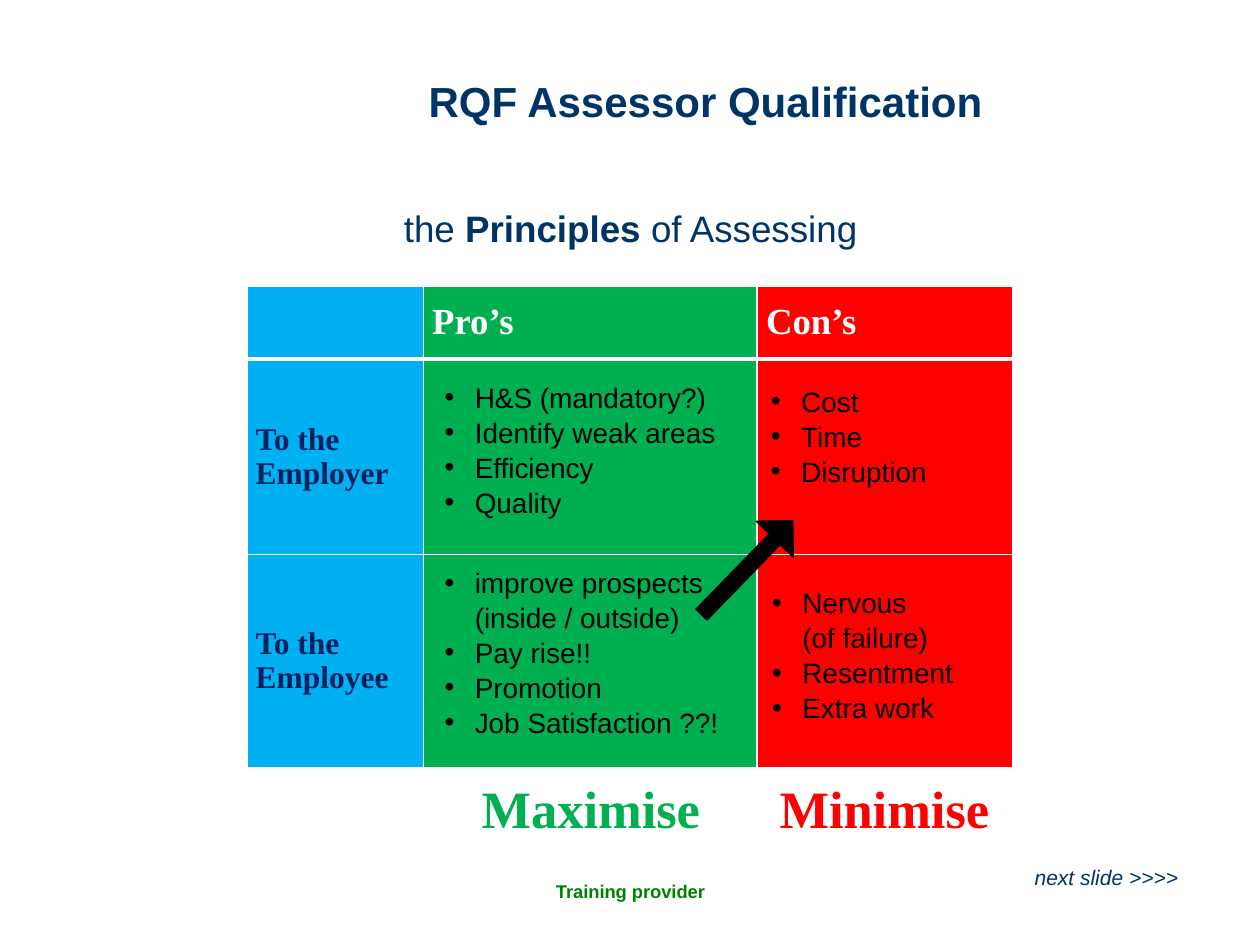
from dataclasses import dataclass
from typing import Any

from lxml.etree import SubElement
from pptx import Presentation
from pptx.dml.color import RGBColor
from pptx.enum.shapes import MSO_SHAPE as Preset
from pptx.enum.text import MSO_ANCHOR as Anchor, PP_ALIGN as Align
from pptx.oxml.ns import qn
from pptx.util import Inches, Pt


@dataclass(frozen=True)
class Theme:
    navy: str = "003366"
    label: str = "002060"
    green: str = "00B050"
    red: str = "FF0000"
    blue: str = "00B0F0"
    footer: str = "008000"
    black: str = "000000"
    white: str = "FFFFFF"
    sans: str = "Arial"
    serif: str = "Times New Roman"
    title: float = 24
    heading: float = 21
    row_label: float = 18
    body: float = 16
    verdict: float = 30
    small: float = 12
    footnote: float = 10.5


THEME = Theme()


@dataclass(frozen=True)
class Style:
    size: float
    color: str
    name: str = THEME.sans
    bold: bool = False
    italic: bool = False


@dataclass(frozen=True)
class TextBox:
    box: tuple[float, float, float, float]
    runs: tuple[tuple[str, Style], ...]
    align: Align = Align.CENTER
    anchor: Anchor = Anchor.TOP
    wrap: bool = True
    spacing: float = 1.0


@dataclass(frozen=True)
class BulletList:
    box: tuple[float, float, float, float]
    items: tuple[str, ...]


HEADING = Style(THEME.heading, THEME.white, THEME.serif, bold=True)
ROW_LABEL = Style(THEME.row_label, THEME.label, THEME.serif, bold=True)
SUBTITLE = Style(THEME.heading, THEME.navy)
SUBTITLE_BOLD = Style(THEME.heading, THEME.navy, bold=True)
BODY = Style(THEME.body, THEME.black)

# Slide content
TEXT_BOXES = (
    TextBox((3.13, 0.35, 4.94, 0.89),
            (("RQF Assessor Qualification", Style(THEME.title, THEME.navy, bold=True)),),
            anchor=Anchor.MIDDLE),
    TextBox((2.67, 1.36, 4.67, 0.89),
            (("the ", SUBTITLE), ("Principles ", SUBTITLE_BOLD), ("of Assessing", SUBTITLE)),
            anchor=Anchor.MIDDLE),
    TextBox((3.35, 6.11, 2.68, 0.58),
            (("Maximise", Style(THEME.verdict, THEME.green, THEME.serif, bold=True)),)),
    TextBox((6.02, 6.11, 2, 0.61),
            (("Minimise", Style(THEME.verdict, THEME.red, THEME.serif, bold=True)),)),
    TextBox((8.1, 6.71, 1.35, 0.37),
            (("next slide >>>>", Style(THEME.small, THEME.navy, italic=True)),),
            align=Align.RIGHT, wrap=False, spacing=1.5),
    TextBox((3.42, 6.94, 3.17, 0.4),
            (("Training provider", Style(THEME.footnote, THEME.footer, bold=True)),)),
)
BULLET_LISTS = (
    BulletList((3.43, 2.96, 2.44, 1.45),
               ("H&S (mandatory?)", "Identify weak areas", "Efficiency", "Quality")),
    BulletList((6.02, 2.99, 1.84, 1.18), ("Cost", "Time", "Disruption")),
    BulletList((3.43, 4.43, 2.44, 1.72),
               ("improve prospects\n(inside / outside)", "Pay rise!!", "Promotion",
                "Job Satisfaction ??!")),
    BulletList((6.03, 4.59, 1.84, 1.18),
               ("Nervous\n(of failure)", "Resentment", "Extra work")),
)
COLUMNS = ((1.4, THEME.blue), (2.65, THEME.green), (2.03, THEME.red))
ROWS = (
    (0.58, ("", "Pro’s", "Con’s")),
    (1.55, ("To the Employer", "", "")),
    (1.69, ("To the Employee", "", "")),
)


def apply_style(font: Any, style: Style) -> None:
    values = {"size": Pt(style.size), "name": style.name,
              "bold": style.bold, "italic": style.italic}
    for attribute, value in values.items():
        setattr(font, attribute, value)
    font.color.rgb = RGBColor.from_string(style.color)


def add_frame(slide: Any, box: tuple, wrap: bool = True, anchor: Anchor = Anchor.TOP) -> Any:
    frame = slide.shapes.add_textbox(*map(Inches, box)).text_frame
    frame.word_wrap = wrap
    frame.vertical_anchor = anchor
    return frame


def draw_text(slide: Any, item: TextBox) -> None:
    paragraph = add_frame(slide, item.box, item.wrap, item.anchor).paragraphs[0]
    paragraph.alignment = item.align
    paragraph.line_spacing = item.spacing
    for text, style in item.runs:
        run = paragraph.add_run()
        run.text = text
        apply_style(run.font, style)


def draw_bullets(slide: Any, bullet_list: BulletList) -> None:
    frame = add_frame(slide, bullet_list.box)
    for index, item in enumerate(bullet_list.items):
        paragraph = frame.add_paragraph() if index else frame.paragraphs[0]
        paragraph.text = item
        paragraph.line_spacing = 1.04
        properties = paragraph._p.get_or_add_pPr()
        properties.set("marL", str(Inches(0.24)))
        properties.set("indent", str(-Inches(0.24)))
        SubElement(properties, qn("a:buFont"), typeface=THEME.sans)
        SubElement(properties, qn("a:buChar"), char="•")
        for run in paragraph.runs:
            apply_style(run.font, BODY)
        for line_break in paragraph._p.findall(qn("a:br")):
            SubElement(line_break, qn("a:rPr"), sz=str(Pt(BODY.size).centipoints))


def set_border(cell: Any, side: str, width: float) -> None:
    line = SubElement(cell._tc.get_or_add_tcPr(), qn(f"a:ln{side}"), w=str(Pt(width)))
    fill = SubElement(line, qn("a:solidFill"))
    SubElement(fill, qn("a:srgbClr"), val=THEME.white)


def fill_half_transparent(cell: Any, color: str) -> None:
    cell.fill.solid()
    cell.fill.fore_color.rgb = RGBColor.from_string(color)
    SubElement(cell._tc.tcPr.find(".//" + qn("a:srgbClr")), qn("a:alpha"), val="50000")


def draw_table(slide: Any) -> None:
    width = sum(column[0] for column in COLUMNS)
    height = sum(row[0] for row in ROWS)
    table = slide.shapes.add_table(len(ROWS), len(COLUMNS), Inches(1.96), Inches(2.27),
                                   Inches(width), Inches(height)).table
    for column, (column_width, _) in zip(table.columns, COLUMNS):
        column.width = Inches(column_width)
    margins = {"margin_left": 0.07, "margin_right": 0.07,
               "margin_top": 0.04, "margin_bottom": 0.04}
    for row_index, (row_height, texts) in enumerate(ROWS):
        table.rows[row_index].height = Inches(row_height)
        # The header row is closed by a thick rule
        borders = {"L": 1, "R": 1, "T": 3 if row_index == 1 else 1,
                   "B": 3 if row_index == 0 else 1}
        for column_index, text in enumerate(texts):
            cell = table.cell(row_index, column_index)
            cell.vertical_anchor = Anchor.MIDDLE
            for attribute, value in margins.items():
                setattr(cell, attribute, Inches(value))
            for side, line_width in borders.items():
                set_border(cell, side, line_width)
            fill_half_transparent(cell, COLUMNS[column_index][1])
            if text:
                cell.text = text
                apply_style(cell.text_frame.paragraphs[0].runs[0].font,
                            ROW_LABEL if row_index else HEADING)


def draw_arrow(slide: Any) -> None:
    arrow = slide.shapes.add_shape(Preset.RIGHT_ARROW, Inches(5.41), Inches(4.3),
                                   Inches(1.04), Inches(0.41))
    arrow.rotation = 314.2
    arrow.adjustments[0] = 0.3
    arrow.shadow.inherit = False
    arrow.fill.solid()
    for color in (arrow.fill.fore_color, arrow.line.color):
        color.rgb = RGBColor.from_string(THEME.black)
    arrow.line.width = Pt(0.75)


def main() -> None:
    presentation = Presentation()
    presentation.slide_width, presentation.slide_height = Inches(10), Inches(7.5)
    slide = presentation.slides.add_slide(presentation.slide_layouts[6])
    draw_table(slide)
    for item in TEXT_BOXES:
        draw_text(slide, item)
    draw_arrow(slide)
    for bullet_list in BULLET_LISTS:
        draw_bullets(slide, bullet_list)
    presentation.save("out.pptx")


if __name__ == "__main__":
    main()
